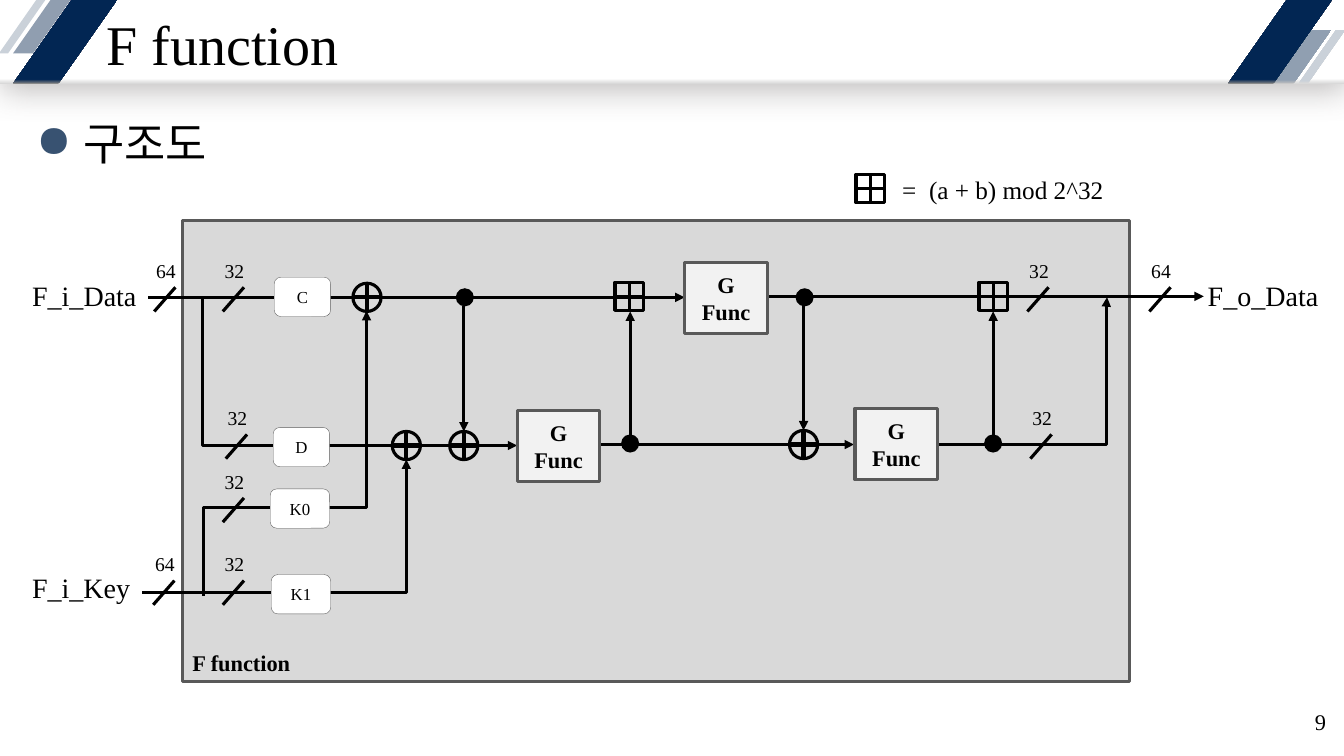
from lxml.etree import SubElement
from pptx import Presentation
from pptx.dml.color import RGBColor
from pptx.enum.shapes import MSO_CONNECTOR, MSO_SHAPE
from pptx.enum.text import MSO_ANCHOR, PP_ALIGN
from pptx.oxml import parse_xml
from pptx.oxml.ns import nsdecls, qn
from pptx.util import Inches, Pt

FONT = "Times New Roman"
COLORS = {
    "black": "000000", "white": "FFFFFF", "navy": "022653", "slate": "7A8BA1",
    "steel": "909FB1", "mist": "CAD1D9", "frame": "D9D9D9", "box": "F2F2F2",
    "border": "595959", "edge": "808080", "silver": "BFBFBF",
    "shadow": "767171", "bullet": "385271",
}


def color(name):
    return RGBColor.from_string(COLORS[name])


def fill_gradient(shape, edge, main, stop):
    stops = "".join(
        f'<a:gs pos="{position * 1000}"><a:srgbClr val="{COLORS[name]}"/></a:gs>'
        for position, name in ((0, edge), (stop, main), (100, main))
    )
    gradient = parse_xml(
        f'<a:gradFill {nsdecls("a")} rotWithShape="1"><a:gsLst>{stops}</a:gsLst>'
        '<a:lin ang="16200000" scaled="0"/></a:gradFill>'
    )
    shape.fill.background()
    old_fill = shape.fill._xPr.find(qn("a:noFill"))
    old_fill.getparent().replace(old_fill, gradient)


def add_shape(shapes, kind, box, fill=None, line=None, width=2.25):
    shape = shapes.add_shape(kind, *map(Inches, box))
    shape.shadow.inherit = False
    if fill:
        shape.fill.solid()
        shape.fill.fore_color.rgb = color(fill)
    else:
        shape.fill.background()
    if line:
        shape.line.color.rgb = color(line)
        shape.line.width = Pt(width)
    else:
        shape.line.fill.background()
    return shape


def write(shape, lines, size, bold=False, align=PP_ALIGN.LEFT, anchor=MSO_ANCHOR.TOP,
          insets=(0.1, 0.05, 0.1, 0.05), wrap=True):
    frame = shape.text_frame
    frame.word_wrap = wrap
    frame.vertical_anchor = anchor
    (frame.margin_left, frame.margin_top,
     frame.margin_right, frame.margin_bottom) = map(Inches, insets)
    for index, text in enumerate(lines):
        paragraph = frame.add_paragraph() if index else frame.paragraphs[0]
        paragraph.alignment = align
        run = paragraph.add_run()
        run.text = text
        run.font.name = FONT
        run.font.size = Pt(size)
        run.font.bold = bold
        run.font.color.rgb = color("black")
    return frame.paragraphs[0]


def add_text(slide, box, text, size, **options):
    return write(slide.shapes.add_textbox(*map(Inches, box)), [text], size, **options)


def add_wire(shapes, start, end, kind=MSO_CONNECTOR.STRAIGHT, width=2.25, arrow=False):
    wire = shapes.add_connector(kind, *map(Inches, start + end))
    wire.line.color.rgb = color("black")
    wire.line.width = Pt(width)
    if arrow:
        SubElement(wire.line._get_or_add_ln(), qn("a:tailEnd"), type="triangle")
    SubElement(wire._element.spPr, qn("a:effectLst"))
    return wire


def add_elbow(slide, start, end, bend=None, turn=0):
    wire = add_wire(slide.shapes, start, end, MSO_CONNECTOR.ELBOW, arrow=True)
    properties = wire._element.spPr
    geometry = properties.find(qn("a:prstGeom"))
    if bend is None:
        geometry.set("prst", "bentConnector2")
    else:
        adjustments = geometry.find(qn("a:avLst"))
        if adjustments is None:
            adjustments = SubElement(geometry, qn("a:avLst"))
        SubElement(adjustments, qn("a:gd"), name="adj1", fmla=f"val {round(bend * 100000)}")
    if turn:
        properties.find(qn("a:xfrm")).set("rot", str(turn * 60000))


def add_operator(slide, x, y, kind, cross_width):
    group = slide.shapes.add_group_shape()
    radius = 0.14
    add_shape(group.shapes, kind, (x - radius, y - radius, 2 * radius, 2 * radius), line="black")
    add_wire(group.shapes, (x - radius, y), (x + radius, y), width=cross_width)
    add_wire(group.shapes, (x, y + radius), (x, y - radius), width=cross_width)


def add_dot(slide, x, y):
    add_shape(slide.shapes, MSO_SHAPE.OVAL, (x - 0.09, y - 0.09, 0.18, 0.18), "black")


def add_bus_mark(slide, x, y, bits):
    add_wire(slide.shapes, (x, y), (x - 0.21, y + 0.24))
    add_text(slide, (x - 0.29, y - 0.33, 0.5, 0.34), bits, 14)


def add_register(slide, box, name):
    shape = add_shape(slide.shapes, MSO_SHAPE.ROUNDED_RECTANGLE, box, "white", "border", 0.25)
    write(shape, [name], 12, align=PP_ALIGN.CENTER, anchor=MSO_ANCHOR.MIDDLE,
          insets=(0.16, 0.08, 0.16, 0.08))


def add_g_function(slide, x, y):
    shape = add_shape(slide.shapes, MSO_SHAPE.RECTANGLE, (x, y, 0.82, 0.71), "box", "border")
    write(shape, ["G", "Func"], 16, bold=True, align=PP_ALIGN.CENTER, anchor=MSO_ANCHOR.MIDDLE)


def add_header(slide):
    band = add_shape(slide.shapes, MSO_SHAPE.RECTANGLE, (0, 0, 13.33, 0.83))
    fill_gradient(band, "frame", "white", 6)
    effects = band._element.spPr.find(qn("a:effectLst"))
    effects.append(parse_xml(
        f'<a:outerShdw {nsdecls("a")} blurRad="{Pt(24)}" dist="{Pt(3)}" dir="4800000" '
        f'algn="t" rotWithShape="0"><a:srgbClr val="{COLORS["shadow"]}">'
        '<a:alpha val="50000"/></a:srgbClr></a:outerShdw>'
    ))
    for box, slant, fill, edge, stop in (
        ((0.13, 0, 0.57, 0.53), 0.702, "slate", None, 0),
        ((0.13, 0, 1.03, 0.83), 0.701, "navy", "edge", 5),
        ((-0.01, 0, 0.46, 0.53), 0.804, "mist", None, 0),
        ((12.63, 0.3, 0.57, 0.53), 0.702, "steel", "silver", 7),
        ((12.18, 0, 1.03, 0.83), 0.701, "navy", "edge", 5),
        ((12.88, 0.3, 0.46, 0.53), 0.804, "mist", "frame", 6),
    ):
        stripe = add_shape(slide.shapes, MSO_SHAPE.PARALLELOGRAM, box, fill)
        stripe.adjustments[0] = slant
        if edge:
            fill_gradient(stripe, edge, fill, stop)
        if fill == "slate":
            tint = stripe._element.spPr.find(qn("a:solidFill"))[0]
            SubElement(tint, qn("a:alpha"), val="83000")
    title = add_text(slide, (0, 0, 13.33, 0.87), "F function", 40,
                     anchor=MSO_ANCHOR.MIDDLE, insets=(1.06, 0.12, 1.06, 0.04))
    title.line_spacing = 0.9


def add_bullet(slide, text):
    paragraph = add_text(slide, (0.26, 1.16, 12.9, 5.59), text, 32)
    paragraph.line_spacing = 0.9
    paragraph.space_before = Pt(10)
    properties = paragraph._p.get_or_add_pPr()
    properties.set("marL", str(Inches(0.47)))
    properties.set("indent", str(-Inches(0.47)))
    bullet_color = SubElement(properties, qn("a:buClr"))
    SubElement(bullet_color, qn("a:srgbClr"), val=COLORS["bullet"])
    SubElement(properties, qn("a:buChar"), char="●")


def add_diagram(slide):
    frame = add_shape(slide.shapes, MSO_SHAPE.RECTANGLE, (1.81, 2.19, 9.39, 4.57), "frame", "border")
    write(frame, ["F function"], 16, bold=True, anchor=MSO_ANCHOR.BOTTOM,
          insets=(0.1, 0.05, 0.2, 0.05))
    for x, y, width, name in ((0.22, 2.71, 1.61, "F_i_Data"), (0.22, 5.61, 1.67, "F_i_Key"),
                              (11.88, 2.71, 1.45, "F_o_Data")):
        add_text(slide, (x, y, width, 0.44), name, 20)
    for start, end in (
        ((1.47, 2.95), (6.79, 2.95)), ((7.61, 2.94), (11.94, 2.94)),
        ((5.95, 4.41), (8.47, 4.41)), ((4.6, 3.04), (4.6, 4.28)),
        ((6.25, 4.43), (6.25, 3.09)), ((7.97, 3.03), (7.97, 4.27)),
        ((9.85, 4.43), (9.85, 3.09)),
    ):
        add_wire(slide.shapes, start, end, arrow=True)
    add_elbow(slide, (2.56, 2.95), (5.13, 4.42), bend=-0.215)
    add_elbow(slide, (4.24, 5.31), (1.41, 3.69), bend=0.312, turn=90)
    add_elbow(slide, (9.3, 4.41), (10.98, 2.95), bend=0.996)
    add_elbow(slide, (1.41, 5.88), (4.03, 4.56))
    for x, y, bits in (
        (1.74, 2.85, "64"), (2.42, 2.85, "32"), (2.45, 4.31, "32"),
        (2.42, 4.94, "32"), (2.42, 5.76, "32"), (1.73, 5.76, "64"),
        (10.4, 2.85, "32"), (10.43, 4.31, "32"), (11.61, 2.85, "64"),
    ):
        add_bus_mark(slide, x, y, bits)
    for x, y, width, name in ((2.72, 2.75, 0.56, "C"), (2.71, 4.24, 0.56, "D"),
                              (2.68, 4.85, 0.59, "K0"), (2.69, 5.7, 0.59, "K1")):
        add_register(slide, (x, y, width, 0.39), name)
    for x, y in ((5.13, 4.07), (6.79, 2.6), (8.48, 4.05)):
        add_g_function(slide, x, y)
    for x, y in ((3.64, 2.95), (4.03, 4.42), (4.6, 4.42), (7.97, 4.41)):
        add_operator(slide, x, y, MSO_SHAPE.OVAL, 3)
    for x, y in ((6.24, 2.94), (9.85, 2.94), (8.63, 1.87)):
        add_operator(slide, x, y, MSO_SHAPE.RECTANGLE, 2.25)
    for x, y in ((4.61, 2.95), (6.25, 4.4), (7.98, 2.95), (9.85, 4.4)):
        add_dot(slide, x, y)
    add_text(slide, (8.85, 1.68, 2.22, 0.4), "=  (a + b) mod 2^32", 18, wrap=False)


def main():
    presentation = Presentation()
    presentation.slide_width = Inches(13.33)
    presentation.slide_height = Inches(7.5)
    slide = presentation.slides.add_slide(presentation.slide_layouts[6])
    add_header(slide)
    add_bullet(slide, "구조도")
    add_diagram(slide)
    add_text(slide, (12.63, 6.96, 0.62, 0.4), "9", 16, align=PP_ALIGN.RIGHT, anchor=MSO_ANCHOR.MIDDLE)
    presentation.save("out.pptx")


if __name__ == "__main__":
    main()
